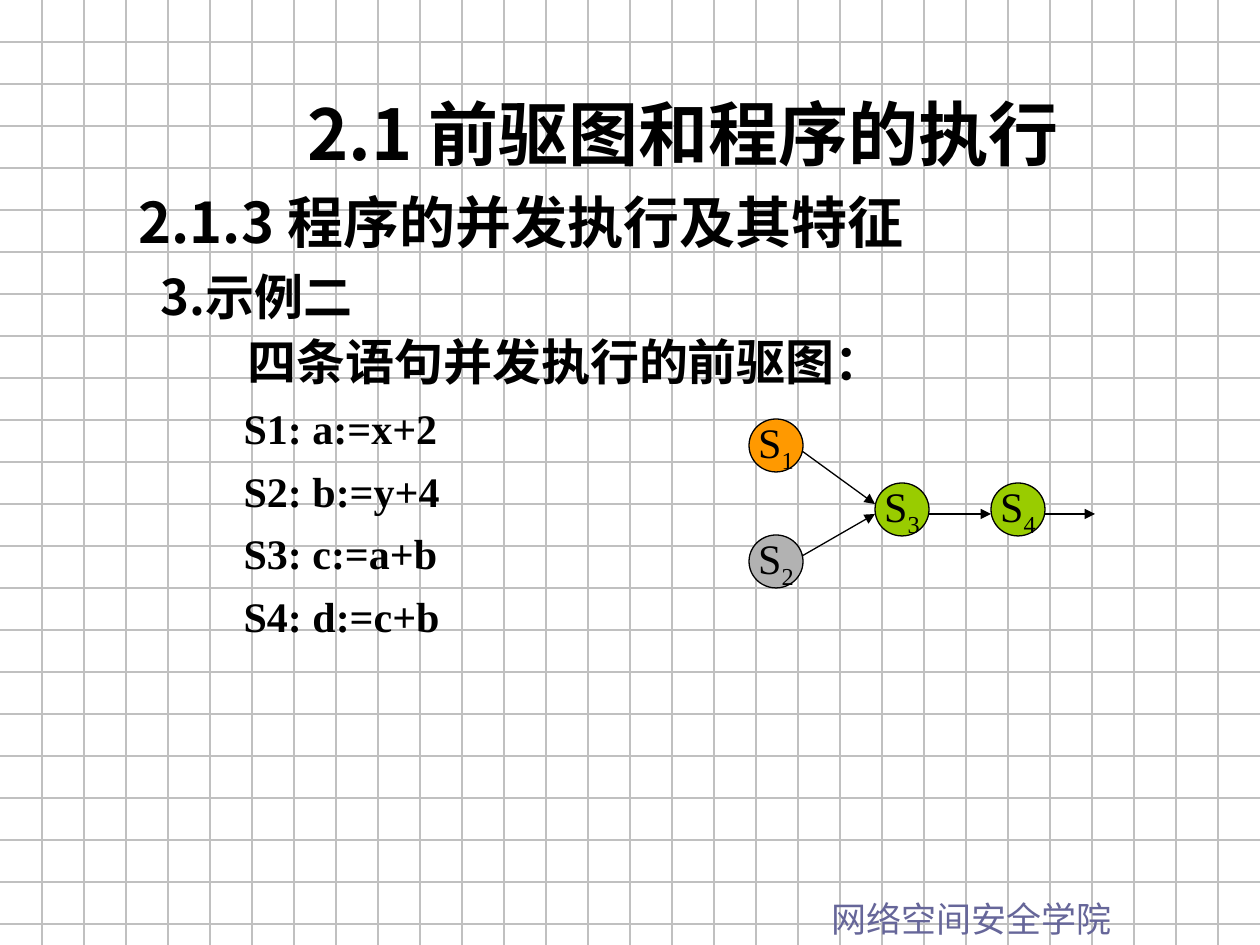
from dataclasses import dataclass
from pptx import Presentation
from pptx import util as u
from pptx.dml.color import RGBColor
from pptx.enum import shapes, text
from pptx.oxml.ns import qn
from lxml import etree


@dataclass
class Theme:
    ink: str = "000000"
    grid: str = "C0C0C0"
    foot: str = "666699"
    amber: str = "FF9900"
    gray: str = "B2B2B2"
    green: str = "99CC00"
    title: int = 40
    head: int = 32
    item: int = 28
    code: int = 24
    small: int = 20
    serif: str = "Times New Roman"
    sans: str = "Noto Sans CJK SC"
    label: str = "Noto Sans CJK JP"


theme = Theme()
PX = 914400 / 126


def write(para, words, size, face, bold=True, color=theme.ink):
    run = para.add_run()
    run.text = words
    run.font.size = u.Pt(size)
    run.font.name = face
    run.font.bold = bold
    run.font.color.rgb = RGBColor.from_string(color)
    east = theme.sans if face == theme.serif else face
    etree.SubElement(run.font._element, qn("a:ea"), typeface=east)
    return run


def link(owner, ends, color, arrow=False):
    line = owner.add_connector(shapes.MSO_CONNECTOR.STRAIGHT, *[round(v * PX) for v in ends])
    line.line.color.rgb = RGBColor.from_string(color)
    line.line.width = u.Pt(0.75)
    if arrow:
        etree.SubElement(line.line._get_or_add_ln(), qn("a:tailEnd"), type="triangle")
    etree.SubElement(line._element.spPr, qn("a:effectLst"))


deck = Presentation()
deck.slide_width = round(1260 * PX)
deck.slide_height = round(945 * PX)
slide = deck.slides.add_slide(deck.slide_layouts[3])
items = slide.shapes

grid = items.add_group_shape()
for y in range(42, 945, 42):
    link(grid.shapes, (0, y, 1260, y), theme.grid)
for x in range(42, 1260, 42):
    link(grid.shapes, (x, 0, x, 945), theme.grid)
items._spTree.insert(2, grid._element)

title, head, body = slide.placeholders
foot = items.add_textbox(0, 0, 0, 0)
places = [
    (title, (179, 84, 1008, 97)),
    (head, (126, 168, 1081, 164)),
    (body, (105, 325, 1103, 357)),
    (foot, (819, 891, 441, 55)),
]
for box, area in places:
    box.left, box.top, box.width, box.height = [round(v * PX) for v in area]
    box.text_frame.word_wrap = True
    box.text_frame.auto_size = text.MSO_AUTO_SIZE.NONE

para = title.text_frame.paragraphs[0]
para.alignment = text.PP_ALIGN.CENTER
write(para, "2.1 前驱图和程序的执行", theme.title, theme.label)
write(foot.text_frame.paragraphs[0], "网络空间安全学院", theme.small, theme.label, False, theme.foot)

rows = [
    (head, 0, 0, 1.2, theme.head, [("2.1.3 ", theme.sans), ("程序的并发执行及其特征", theme.serif)]),
    (head, 22, 0, 1.2, theme.item, [("3.", theme.sans), ("示例二", theme.serif)]),
    (body, 130, 0, 1, theme.item, [("四条语句并发执行的前驱图：", theme.serif)]),
]
for words in ["S1: a:=x+2", "S2: b:=y+4", "S3: c:=a+b", "S4: d:=c+b"]:
    rows.append((body, 126, 7, 1, theme.code, [(words, theme.serif)]))

for box, inset, gap, pitch, size, runs in rows:
    frame = box.text_frame
    para = frame.add_paragraph() if frame.text else frame.paragraphs[0]
    props = para._p.get_or_add_pPr()
    props.set("marL", str(round(inset * PX)))
    props.set("indent", "0")
    etree.SubElement(props, qn("a:buNone"))
    para.line_spacing = float(pitch)
    para.space_before = u.Pt(gap)
    for words, face in runs:
        write(para, words, size, face)

nodes = [
    ("1", 749, 419, theme.amber),
    ("2", 749, 535, theme.gray),
    ("3", 875, 483, theme.green),
    ("4", 991, 483, theme.green),
]
for digit, x, y, fill in nodes:
    node = items.add_shape(shapes.MSO_SHAPE.OVAL, *[round(v * PX) for v in (x, y, 54, 53)])
    node.shadow.inherit = False
    node.fill.solid()
    node.fill.fore_color.rgb = RGBColor.from_string(fill)
    node.line.color.rgb = RGBColor.from_string(theme.ink)
    node.line.width = u.Pt(0.75)
    frame = node.text_frame
    frame.word_wrap = False
    frame.vertical_anchor = text.MSO_ANCHOR.MIDDLE
    para = frame.paragraphs[0]
    para.alignment = text.PP_ALIGN.CENTER
    write(para, "S", theme.code, theme.serif, False)
    sub = write(para, digit, theme.code, theme.serif, False)
    sub.font._element.set("baseline", "-25000")

for ends in [
    (802, 451, 875, 504),
    (802, 556, 875, 514),
    (928, 514, 991, 514),
    (1044, 514, 1095, 514),
]:
    link(items, ends, theme.ink, True)

deck.save("out.pptx")
